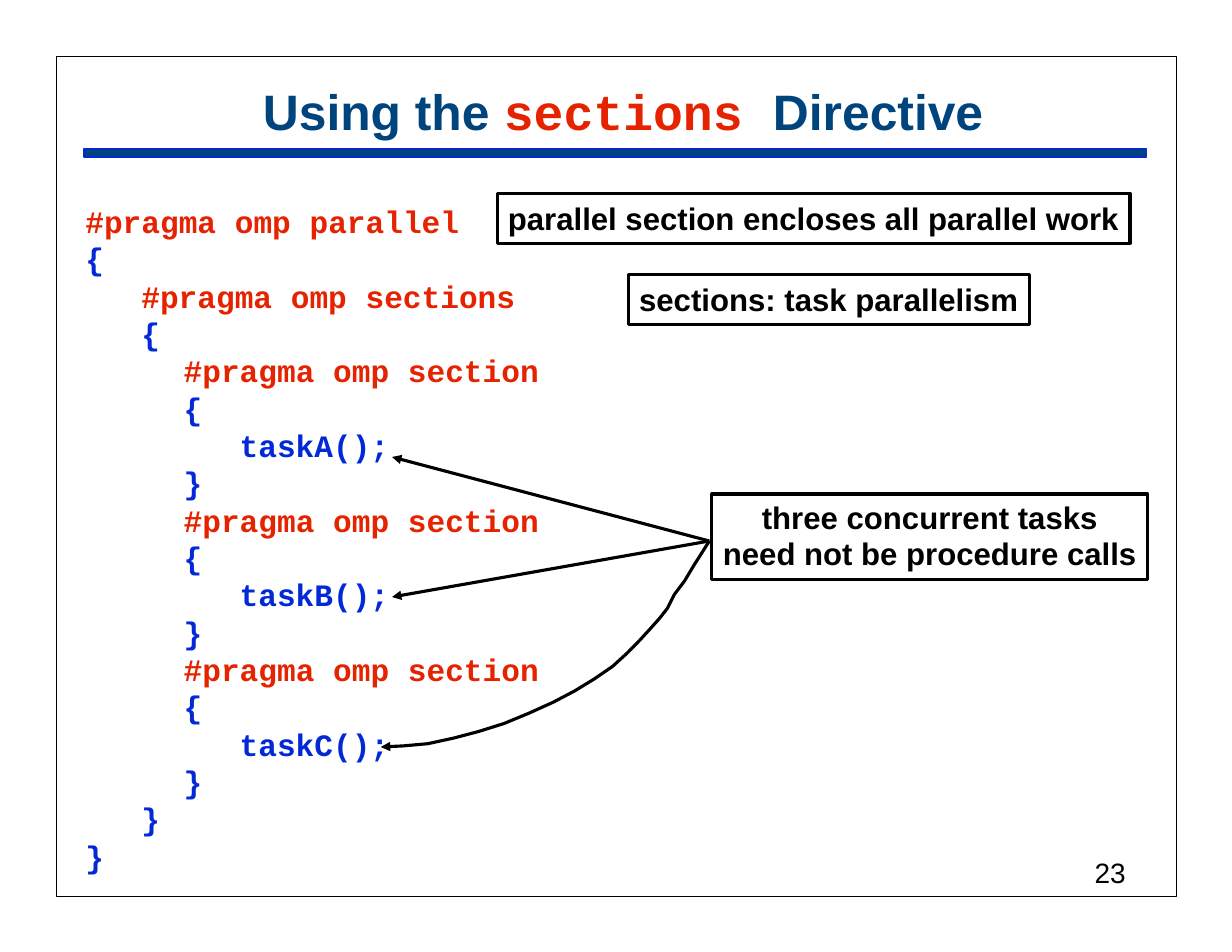
import dataclasses

import pptx
import pptx.dml.color
import pptx.enum.shapes
import pptx.enum.text
import pptx.oxml
import pptx.oxml.ns
import pptx.util

Pt = pptx.util.Pt
RGB = pptx.dml.color.RGBColor
Align = pptx.enum.text.PP_ALIGN
Shape = pptx.enum.shapes.MSO_SHAPE


@dataclasses.dataclass(frozen=True)
class Theme:
    navy: RGB = RGB(0x00, 0x44, 0x7E)
    blue: RGB = RGB(0x03, 0x29, 0xD6)
    red: RGB = RGB(0xE6, 0x23, 0x00)
    black: RGB = RGB(0, 0, 0)
    sans: str = "Arial"
    mono: str = "Courier New"
    title_size: float = 32
    body_size: float = 20
    number_size: float = 18
    code_pitch: float = 24
    callout_pitch: float = 23


@dataclasses.dataclass(frozen=True)
class Box:
    left: float
    top: float
    width: float
    height: float

    def lengths(self) -> tuple:
        return Pt(self.left), Pt(self.top), Pt(self.width), Pt(self.height)


@dataclasses.dataclass(frozen=True)
class Callout:
    box: Box
    lines: tuple


@dataclasses.dataclass(frozen=True)
class CodeLine:
    indent: float
    text: str


THEME = Theme()


def style(span, font: str, size: float, color: RGB, bold: bool = True) -> None:
    span.font.name = font
    span.font.size = Pt(size)
    span.font.bold = bold
    span.font.color.rgb = color


def prepare_frame(frame, inset_top: float = 0, wrap: bool = False) -> None:
    frame.margin_left = frame.margin_right = frame.margin_bottom = 0
    frame.margin_top = Pt(inset_top)
    frame.word_wrap = wrap
    frame.auto_size = pptx.enum.text.MSO_AUTO_SIZE.NONE
    frame.vertical_anchor = pptx.enum.text.MSO_ANCHOR.TOP


def add_rectangle(page, box: Box, line: RGB, weight: float, fill: RGB | None = None):
    shape = page.shapes.add_shape(Shape.RECTANGLE, *box.lengths())
    shape.shadow.inherit = False
    if fill is None:
        shape.fill.background()
    else:
        shape.fill.solid()
        shape.fill.fore_color.rgb = fill
    shape.line.color.rgb = line
    shape.line.width = Pt(weight)
    return shape


def add_callout(page, callout: Callout) -> None:
    shape = add_rectangle(page, callout.box, THEME.black, 2)
    frame = shape.text_frame
    prepare_frame(frame, inset_top=4)
    frame.text = "\n".join(callout.lines)
    for para in frame.paragraphs:
        para.alignment = Align.CENTER
        if len(callout.lines) > 1:
            para.line_spacing = Pt(THEME.callout_pitch)
        style(para.runs[0], THEME.sans, THEME.body_size, THEME.black)


def add_code(page, box: Box, lines: list[CodeLine]) -> None:
    frame = page.shapes.add_textbox(*box.lengths()).text_frame
    prepare_frame(frame, wrap=True)
    frame.text = "\n".join(line.text for line in lines)
    for para, line in zip(frame.paragraphs, lines):
        para.line_spacing = Pt(THEME.code_pitch)
        properties = para._p.get_or_add_pPr()
        properties.set("marL", str(Pt(line.indent)))
        properties.set("indent", "0")
        color = THEME.red if line.text.startswith("#") else THEME.blue
        style(para.runs[0], THEME.mono, THEME.body_size, color)


def finish_arrow(shape) -> None:
    shape.line.color.rgb = THEME.black
    shape.line.width = Pt(2)
    namespace = pptx.oxml.ns.nsdecls("a")
    shape.line._get_or_add_ln().append(
        pptx.oxml.parse_xml(f'<a:tailEnd {namespace} type="triangle" w="med" len="med"/>'))


def add_straight_arrow(page, start: tuple, end: tuple) -> None:
    arrow = page.shapes.add_connector(
        pptx.enum.shapes.MSO_CONNECTOR.STRAIGHT, *(Pt(value) for value in start + end))
    finish_arrow(arrow)
    arrow._element.spPr.append(
        pptx.oxml.parse_xml(f'<a:effectLst {pptx.oxml.ns.nsdecls("a")}/>'))


def add_curved_arrow(page, points: list[tuple]) -> None:
    vertices = [(Pt(x), Pt(y)) for x, y in points]
    builder = page.shapes.build_freeform(*vertices[0])
    builder.add_line_segments(vertices[1:], close=False)
    curve = builder.convert_to_shape()
    curve.shadow.inherit = False
    curve.fill.background()
    finish_arrow(curve)


deck = pptx.Presentation()
deck.slide_width, deck.slide_height = Pt(792), Pt(612)
page = deck.slides.add_slide(deck.slide_layouts[5])

# Title and rule
title = page.shapes.title
title.left, title.top, title.width, title.height = Box(169, 52, 574, 38).lengths()
prepare_frame(title.text_frame)
heading = title.text_frame.paragraphs[0]
heading.alignment = Align.LEFT
for text, font, color in (("Using the ", THEME.sans, THEME.navy),
                          ("sections ", THEME.mono, THEME.red),
                          ("Directive", THEME.sans, THEME.navy)):
    span = heading.add_run()
    span.text = text
    style(span, font, THEME.title_size, color)
add_rectangle(page, Box(54, 95.9, 683.2, 5), THEME.blue, 1, THEME.navy)

# Code listing: nested blocks around three equal sections
OUTER, MIDDLE, INNER, TASK = 0, 36, 63.2, 99.2
code = [CodeLine(OUTER, "#pragma omp parallel"), CodeLine(OUTER, "{"),
        CodeLine(MIDDLE, "#pragma omp sections"), CodeLine(MIDDLE, "{")]
for name in "ABC":
    code += [CodeLine(INNER, "#pragma omp section"), CodeLine(INNER, "{"),
             CodeLine(TASK, f"task{name}();"), CodeLine(INNER, "}")]
code += [CodeLine(MIDDLE, "}"), CodeLine(OUTER, "}")]
add_code(page, Box(54.9, 130, 310, THEME.code_pitch * len(code)), code)

# Callouts
for callout in (
    Callout(Box(319.7, 124.4, 406.8, 32), ("parallel section encloses all parallel work",)),
    Callout(Box(403.9, 176.4, 257.8, 32), ("sections: task parallelism",)),
    Callout(Box(457.6, 317.6, 280.4, 54.8),
            ("three concurrent tasks", "need not be procedure calls")),
):
    add_callout(page, callout)

# Arrows from the last callout to the tasks
origin = (456, 347.8)
for tip in ((252, 293.8), (252, 383.8)):
    add_straight_arrow(page, origin, tip)
add_curved_arrow(page, [
    origin, (446.4, 362.9), (439.9, 373.7), (433.4, 382.3), (429.1, 391), (424.1, 397.4),
    (418.3, 403.9), (411.1, 411.8), (403.2, 419.8), (393.8, 428.4), (382.3, 436.3),
    (369.4, 444.2), (355.7, 451.4), (339.8, 458.6), (324, 465.1), (307.8, 470.2),
    (291.6, 474.5), (275, 478.1), (259.2, 479.5), (244.8, 480.2)])

# Page number and border
number = page.shapes.add_textbox(*Box(703.7, 549.8, 24, 22).lengths()).text_frame
prepare_frame(number)
number.text = "23"
style(number.paragraphs[0].runs[0], THEME.sans, THEME.number_size, THEME.black, bold=False)
add_rectangle(page, Box(36, 36, 720, 540), THEME.black, 0.5)

deck.save("out.pptx")
